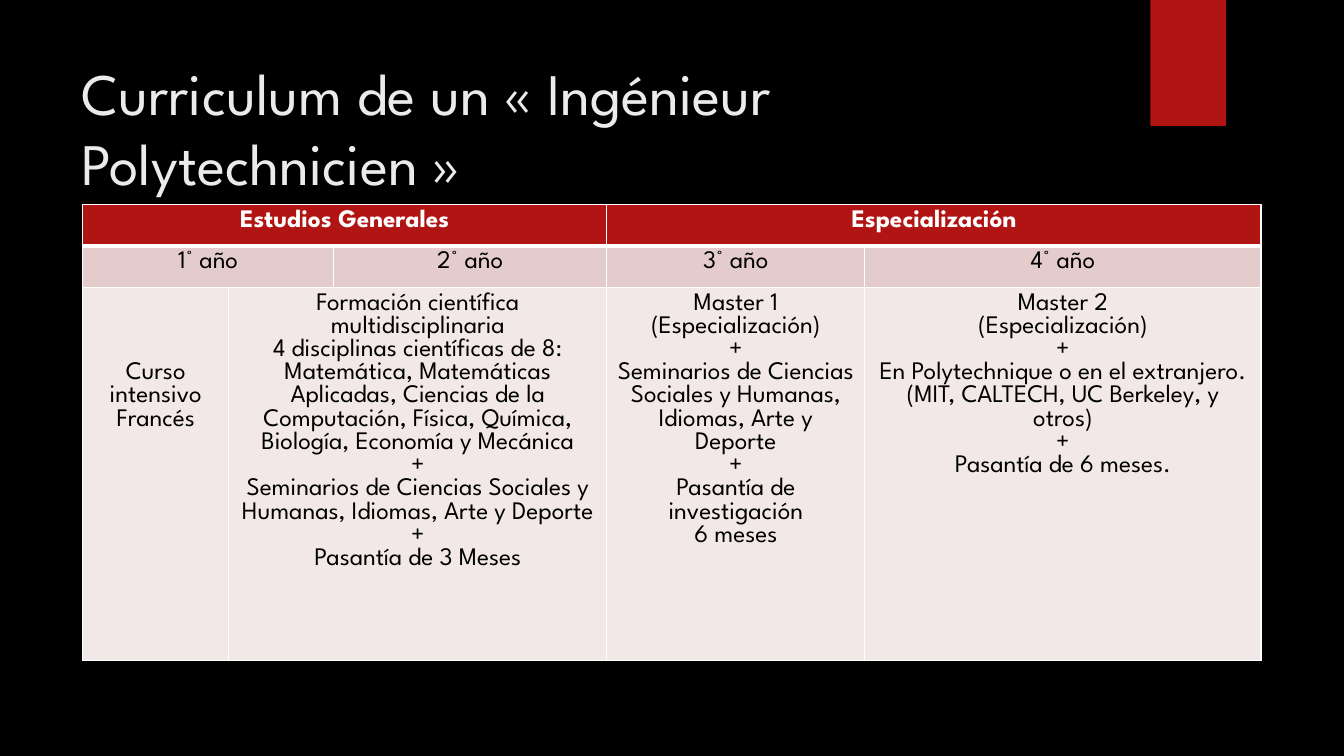
from dataclasses import dataclass

from lxml import etree
from pptx import Presentation, util as u
from pptx.dml.color import RGBColor
from pptx.enum import shapes, text
from pptx.oxml.ns import qn


@dataclass(frozen=True)
class Theme:
    font: str = "League Spartan"
    back: str = "000000"
    title: str = "EBEBEB"
    accent: str = "B01513"
    white: str = "FFFFFF"
    ink: str = "000000"
    year: str = "E4CCCC"
    body: str = "F2E8E7"
    big: int = 42
    lead: int = 50
    small: int = 18
    thin: int = 1
    thick: int = 3


class Deck:
    """Draws styled elements on one slide, with lengths as percent of its size."""

    def __init__(self, theme):
        self.theme = theme
        self.prs = Presentation()
        self.prs.slide_width = u.Inches(13.33)
        self.prs.slide_height = u.Inches(7.5)
        self.slide = self.prs.slides.add_slide(self.prs.slide_layouts[6])
        fill = self.slide.background.fill
        fill.solid()
        fill.fore_color.rgb = RGBColor.from_string(theme.back)

    def wide(self, share):
        return round(self.prs.slide_width * share / 100)

    def high(self, share):
        return round(self.prs.slide_height * share / 100)

    def area(self, left, top, width, height):
        return self.wide(left), self.high(top), self.wide(width), self.high(height)

    def style(self, para, size, color, bold=False):
        for run in para.runs:
            run.font.name = self.theme.font
            run.font.size = u.Pt(size)
            run.font.bold = bold
            run.font.color.rgb = RGBColor.from_string(color)

    def block(self, *area):
        shape = self.slide.shapes.add_shape(
            shapes.MSO_SHAPE.RECTANGLE, *self.area(*area))
        shape.shadow.inherit = False
        shape.fill.solid()
        shape.fill.fore_color.rgb = RGBColor.from_string(self.theme.accent)
        shape.line.fill.background()

    def title(self, words, *area):
        frame = self.slide.shapes.add_textbox(*self.area(*area)).text_frame
        frame.word_wrap = True
        frame.vertical_anchor = text.MSO_ANCHOR.MIDDLE
        frame.text = words
        para = frame.paragraphs[0]
        para.line_spacing = u.Pt(self.theme.lead)
        self.style(para, self.theme.big, self.theme.title)

    def table(self, left, top, cols, rows):
        table = self.slide.shapes.add_table(
            len(rows), len(cols),
            *self.area(left, top, sum(cols), sum(rows))).table
        table.first_row = table.horz_banding = False
        for col, share in zip(table.columns, cols):
            col.width = self.wide(share)
        for row, share in zip(table.rows, rows):
            row.height = self.high(share)
        return table

    def cell(self, table, row, col, span, words, fill, color, bold=False):
        cell = table.cell(row, col)
        if span > 1:
            cell.merge(table.cell(row, col + span - 1))
        cell.text = words
        for para in cell.text_frame.paragraphs:
            para.alignment = text.PP_ALIGN.CENTER
            self.style(para, self.theme.small, color, bold)
        for side in "LRTB":
            heavy = (row, side) in ((0, "B"), (1, "T"))
            self.border(cell, side, self.theme.thick if heavy else self.theme.thin)
        cell.fill.solid()
        cell.fill.fore_color.rgb = RGBColor.from_string(fill)
        return cell

    def border(self, cell, side, width):
        props = cell._tc.get_or_add_tcPr()
        line = etree.SubElement(props, qn(f"a:ln{side}"), w=str(u.Pt(width)))
        fill = etree.SubElement(line, qn("a:solidFill"))
        etree.SubElement(fill, qn("a:srgbClr"), val=self.theme.white)


HEADS = [(0, 3, "Estudios Generales"), (3, 2, "Especialización")]
YEARS = [(0, 2, "1° año"), (2, 1, "2° año"), (3, 1, "3° año"), (4, 1, "4° año")]
ARTS = "Seminarios de Ciencias Sociales y Humanas, Idiomas, Arte y Deporte"
PLANS = [
    (0, 1, "Curso intensivo\nFrancés"),
    (1, 2, "Formación científica multidisciplinaria\n"
           "4 disciplinas científicas de 8:\n"
           "Matemática, Matemáticas Aplicadas, Ciencias de la Computación, "
           "Física, Química, Biología, Economía y Mecánica\n"
           f"+\n{ARTS}\n+\nPasantía de 3 Meses"),
    (3, 1, f"Master 1\n(Especialización)\n+\n{ARTS}\n+\n"
           "Pasantía de investigación\n6 meses"),
    (4, 1, "Master 2\n(Especialización)\n+\n"
           "En Polytechnique o en el extranjero.\n"
           "(MIT, CALTECH, UC Berkeley, y otros)\n+\nPasantía de 6 meses."),
]


def main():
    theme = Theme()
    deck = Deck(theme)
    deck.block(85.6, 0, 5.63, 16.67)
    deck.title("Curriculum de un « Ingénieur Polytechnicien »",
               5.33, 6.67, 77.2, 20.4)
    table = deck.table(6.15, 27.07, [10.88, 7.8, 20.33, 19.2, 29.48],
                       [5.47, 5.47, 38.13])
    looks = [(HEADS, theme.accent, theme.white, True),
             (YEARS, theme.year, theme.ink, False),
             (PLANS, theme.body, theme.ink, False)]
    for row, (items, *look) in enumerate(looks):
        for col, span, words in items:
            deck.cell(table, row, col, span, words, *look)
    table.cell(2, 0).margin_top = deck.high(9.87)
    deck.prs.save("out.pptx")


if __name__ == "__main__":
    main()
